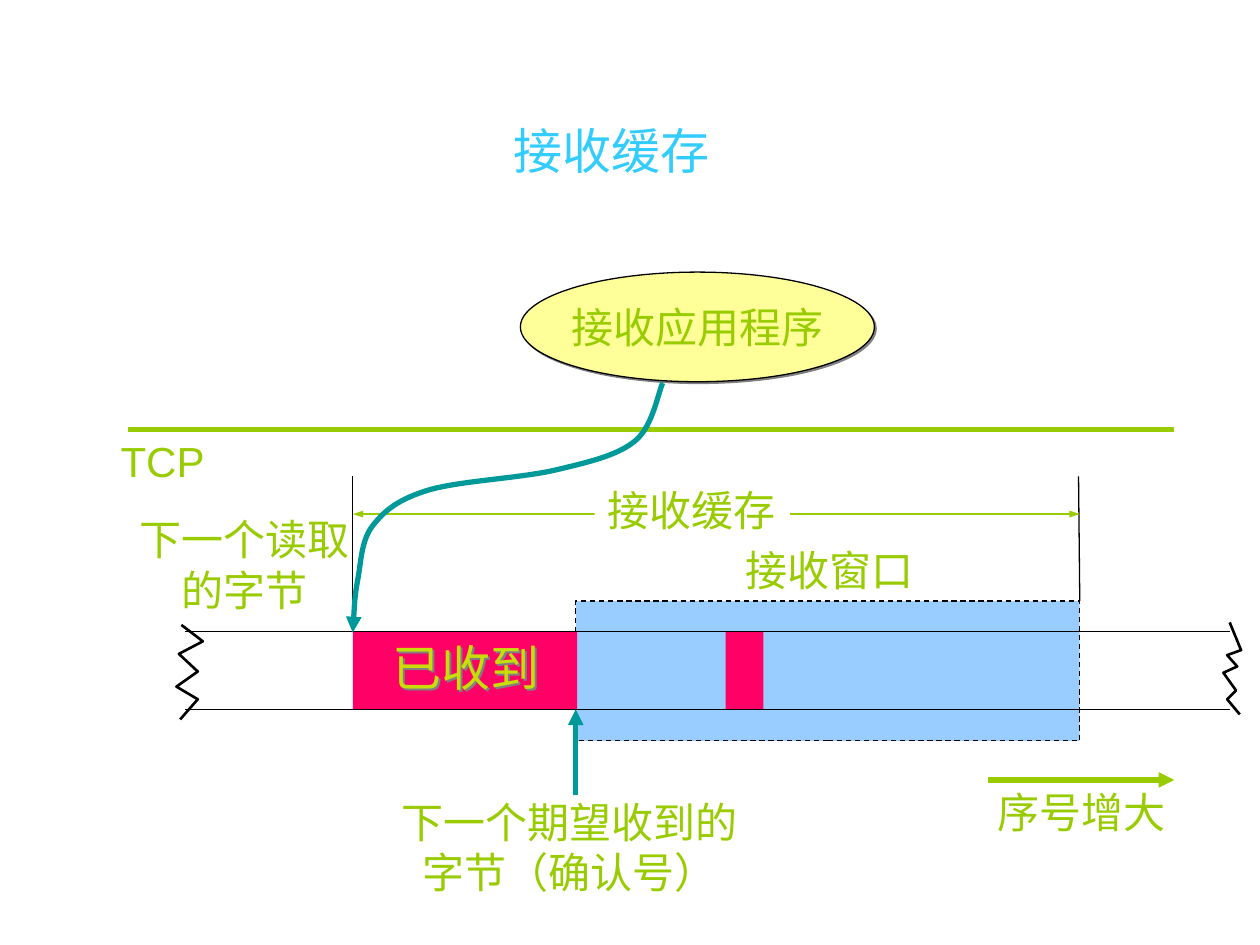
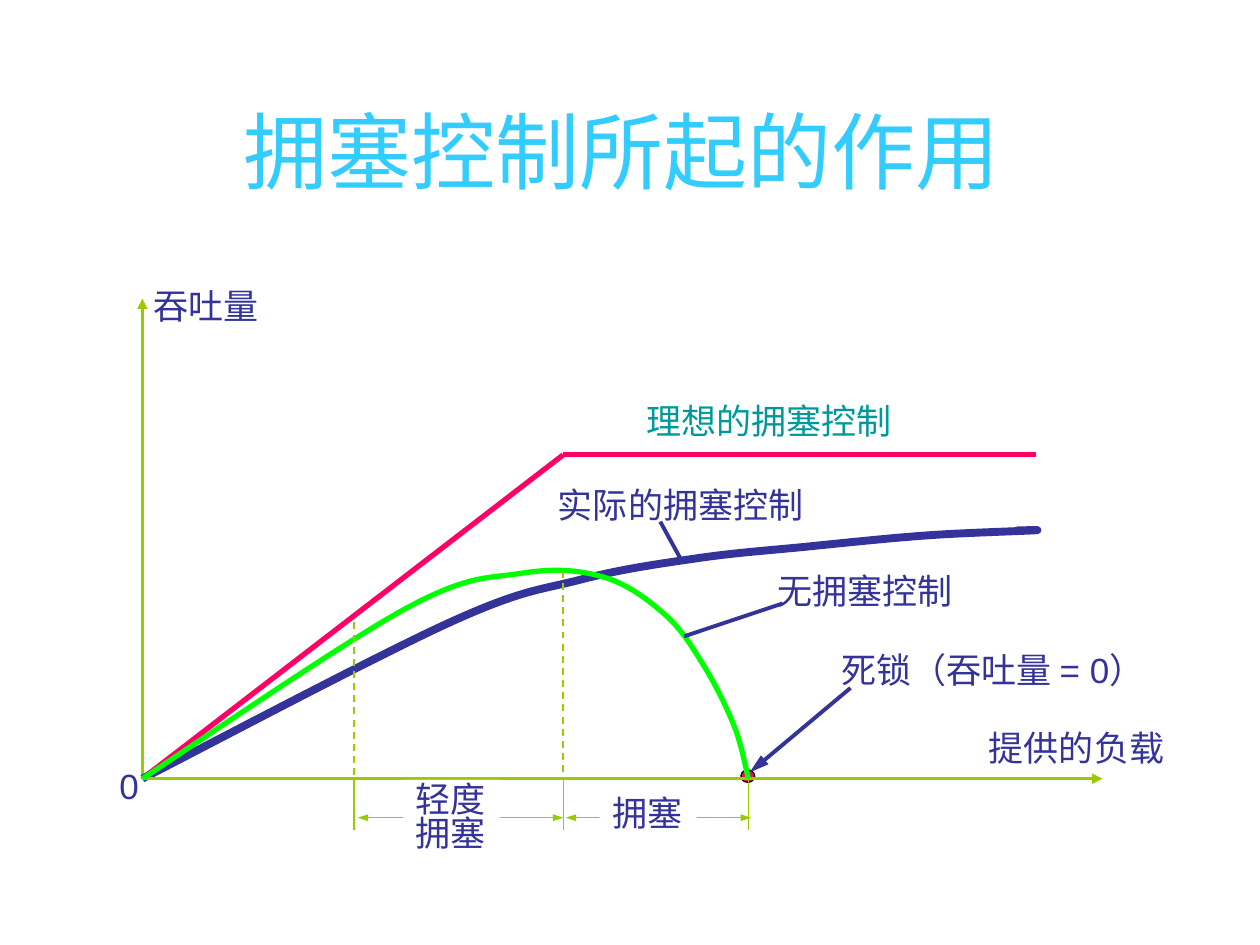
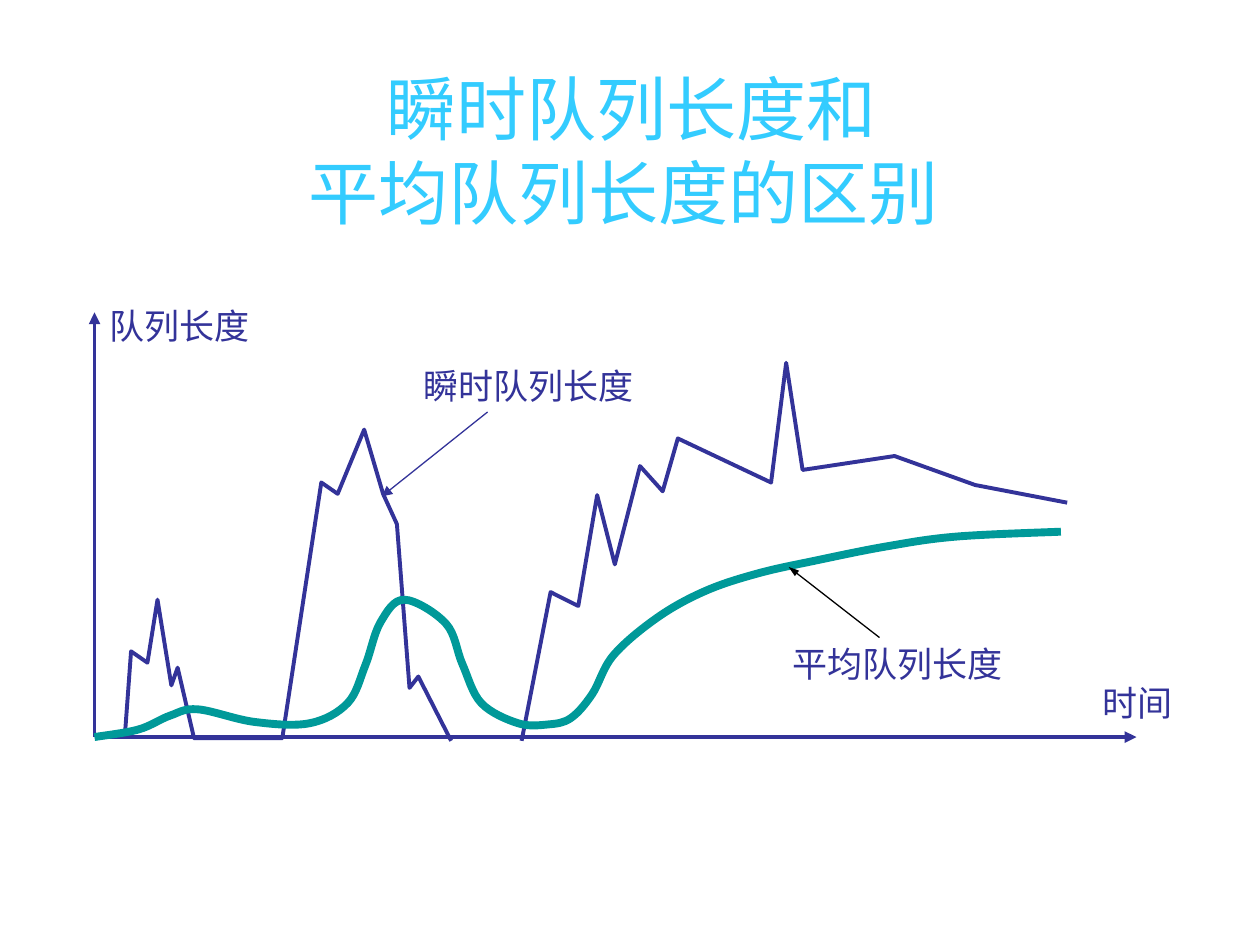
"""Build three slides on TCP receive buffering, congestion control and queue length."""
from lxml import etree
from pptx import Presentation
from pptx.dml.color import RGBColor
from pptx.enum.dml import MSO_LINE
from pptx.enum.shapes import MSO_CONNECTOR, MSO_SHAPE
from pptx.enum.text import MSO_ANCHOR, MSO_AUTO_SIZE, PP_ALIGN
from pptx.oxml.ns import qn
from pptx.util import Inches, Pt

DASH, STRAIGHT = MSO_LINE.DASH, MSO_CONNECTOR.STRAIGHT
RECT, OVAL = MSO_SHAPE.RECTANGLE, MSO_SHAPE.OVAL
LEFT, CENTER = PP_ALIGN.LEFT, PP_ALIGN.CENTER
MIDDLE, TOP = MSO_ANCHOR.MIDDLE, MSO_ANCHOR.TOP
NO_FIT, GROW = MSO_AUTO_SIZE.NONE, MSO_AUTO_SIZE.SHAPE_TO_FIT_TEXT

SKY, LIME, NAVY, TEAL = "33CCFF", "99CC00", "333399", "009999"
PINK, GREEN, BLACK, WHITE = "FF0066", "00FF00", "000000", "FFFFFF"
ARIAL, TIMES = "Arial", "Times New Roman"
REGULAR_TIP, NARROW_TIP, LONG_TIP = ("med", "med"), ("sm", "med"), ("med", "lg")


def write(frame, text, size, color, align, font=ARIAL, spacing=None):
    """Fill a text frame and format every run in it."""
    frame.text = text
    for paragraph in frame.paragraphs:
        paragraph.alignment = align
        paragraph.line_spacing = spacing
        for run in paragraph.runs:
            run.font.size = Pt(size)
            run.font.name = font
            run.font.color.rgb = RGBColor.from_string(color)


def stroke(slide, knots, color, width, ends="", tip=REGULAR_TIP, dash=None, curved=False):
    """Draw a line, a polyline or a smooth curve through the knots."""
    if len(knots) == 2:
        drawn = slide.shapes.add_connector(
            STRAIGHT, *[Inches(value) for knot in knots for value in knot])
    else:
        points = list(knots)
        if curved:
            points = knots[:1]
            padded = [knots[0], *knots, knots[-1]]
            for before, start, end, after in zip(padded, knots, knots[1:], padded[3:]):
                points += [
                    tuple(s + (e - b) / 6 for b, s, e in zip(before, start, end)),
                    tuple(e - (a - s) / 6 for s, e, a in zip(start, end, after)),
                    end]
        points = [(Inches(x), Inches(y)) for x, y in points]
        builder = slide.shapes.build_freeform(*points[0])
        builder.add_line_segments(points[1:], close=False)
        drawn = builder.convert_to_shape()
        drawn.fill.background()
        if curved:
            outline = drawn._element.xpath(".//a:path")[0]
            segments = list(outline)[1:]
            for first in range(0, len(segments), 3):
                bezier = etree.SubElement(outline, qn("a:cubicBezTo"))
                for segment in segments[first:first + 3]:
                    bezier.append(segment[0])
                    outline.remove(segment)
    drawn.line.color.rgb = RGBColor.from_string(color)
    drawn.line.width = Pt(width)
    if dash:
        drawn.line.dash_style = dash
    for end in ends.split():
        etree.SubElement(drawn.line._get_or_add_ln(), qn(f"a:{end}End"),
                         type="triangle", w=tip[0], len=tip[1])
    etree.SubElement(drawn._element.spPr, qn("a:effectLst"))


deck = Presentation()
deck.slide_width, deck.slide_height = Inches(10), Inches(7.5)

slides = []
for heading, size, width in [
    ("接收缓存", 28, 8.69),
    ("拥塞控制所起的作用 ", 48, 9),
    ("瞬时队列长度和\v平均队列长度的区别 ", 40, 9),
]:
    slide = deck.slides.add_slide(deck.slide_layouts[5])
    title = slide.shapes.title
    title.left, title.top = Inches(0.51), Inches(0.84)
    title.width, title.height = Inches(width), Inches(0.7)
    title.text_frame.auto_size = NO_FIT
    title.text_frame.vertical_anchor = MIDDLE
    write(title.text_frame, heading, size, SKY, CENTER)
    slides.append(slide)
buffering, congestion, queueing = slides

BUFFER_START, NEXT_BYTE, BUFFER_END = 2.8, 4.57, 8.57
STREAM_TOP, STREAM_BOTTOM = 5.01, 5.63
STREAM_HEIGHT = STREAM_BOTTOM - STREAM_TOP
for slide, kind, box, fill, border, dash in [
    (buffering, RECT, (NEXT_BYTE, 4.77, 4, 1.11), "99CCFF", BLACK, DASH),
    (buffering, RECT, (BUFFER_START, STREAM_TOP, 1.78, STREAM_HEIGHT), PINK, None, None),
    (buffering, RECT, (5.76, STREAM_TOP, 0.3, STREAM_HEIGHT), PINK, None, None),
    (congestion, OVAL, (5.88, 6.11, 0.11, 0.1), PINK, BLACK, None),
    (buffering, OVAL, (4.13, 2.16, 2.81, 0.87), "FFFF99", BLACK, None),
]:
    block = slide.shapes.add_shape(kind, *[Inches(value) for value in box])
    block.shadow.inherit = False
    block.fill.solid()
    block.fill.fore_color.rgb = RGBColor.from_string(fill)
    if border:
        block.line.color.rgb = RGBColor.from_string(border)
        block.line.width = Pt(0.75)
        block.line.dash_style = dash
    else:
        block.line.fill.background()
application = block
application.text_frame.word_wrap = False
application.text_frame.vertical_anchor = MIDDLE
write(application.text_frame, "接收应用程序", 24, LIME, CENTER)

for y in (STREAM_TOP, STREAM_BOTTOM):
    stroke(buffering, [(1.47, y), (9.76, y)], BLACK, 0.75)
stroke(buffering, [(1.02, 3.41), (9.32, 3.41)], LIME, 3)
stroke(buffering, [(BUFFER_START, 3.78), (BUFFER_START, STREAM_TOP)], BLACK, 0.75)
stroke(buffering, [(8.56, 3.78), (BUFFER_END, 4.77)], BLACK, 0.75)
stroke(buffering, [(BUFFER_START, 4.08), (BUFFER_END, 4.08)], LIME, 0.75, "head tail",
       NARROW_TIP)
stroke(buffering, [(5.26, 3.04), (5.04, 3.5), (4.41, 3.73), (3.4, 3.89), (2.96, 4.17),
                   (2.84, 4.6), (2.8, 5.02)], TEAL, 3, "tail", curved=True)
stroke(buffering, [(7.84, 6.19), (9.32, 6.19)], LIME, 3, "tail")
stroke(buffering, [(NEXT_BYTE, 6.31), (NEXT_BYTE, STREAM_BOTTOM)], TEAL, 3, "tail")
stroke(buffering, [(9.76, 4.94), (9.85, 5.16), (9.74, 5.2), (9.82, 5.29), (9.71, 5.34),
                   (9.81, 5.48), (9.74, 5.55), (9.84, 5.67)], BLACK, 1.5)
stroke(buffering, [(1.44, 4.96), (1.61, 5.09), (1.42, 5.19), (1.57, 5.33), (1.4, 5.45),
                   (1.57, 5.55), (1.43, 5.71)], BLACK, 1.5)

ORIGIN = (1.13, 6.18)
AXIS_Y = ORIGIN[1]
MILD, SEVERE, DEADLOCK = 2.81, 4.47, 5.94
stroke(congestion, [ORIGIN, (1.13, 2.37)], LIME, 1.5, "tail")
stroke(congestion, [ORIGIN, (SEVERE, 3.61)], PINK, 3)
stroke(congestion, [(SEVERE, 3.61), (8.22, 3.61)], PINK, 3)
stroke(congestion, [ORIGIN, (3.57, 4.94), (4.61, 4.6), (5.54, 4.43), (6.39, 4.34),
                    (7.35, 4.25), (8.2, 4.21), (8.07, 4.21)], NAVY, 4.5, curved=True)
stroke(congestion, [(5.24, 4.14), (5.41, 4.45)], NAVY, 2.25)
stroke(congestion, [ORIGIN, (8.75, AXIS_Y)], LIME, 1.5, "tail")
stroke(congestion, [(6.75, 5.46), (5.95, 6.13)], NAVY, 2.25, "tail", LONG_TIP)
for start, end in ((4.49, 5.96), (2.84, SEVERE)):
    stroke(congestion, [(start, 6.49), (end, 6.49)], LIME, 0.75, "head tail", NARROW_TIP)
stroke(congestion, [ORIGIN, (3.22, 4.83), (4.14, 4.55), (4.79, 4.58), (5.28, 4.88),
                    (5.59, 5.29), (5.83, 5.77), (DEADLOCK, AXIS_Y)], GREEN, 3, curved=True)
stroke(congestion, [(6.21, 4.79), (5.43, 5.05)], NAVY, 2.25)
for x, y in ((MILD, 4.94), (SEVERE, 4.53)):
    stroke(congestion, [(x, y), (x, AXIS_Y)], LIME, 1, dash=DASH)
for x in (MILD, SEVERE, DEADLOCK):
    stroke(congestion, [(x, AXIS_Y), (x, 6.59)], LIME, 0.75)

EMPTY = (0.75, 5.85)
stroke(queueing, [EMPTY, (9.02, 5.85)], NAVY, 2.25, "tail")
stroke(queueing, [EMPTY, (0.75, 2.48)], NAVY, 2.25, "tail")
stroke(queueing, [(0.99, 5.85), (1.04, 5.17), (1.17, 5.26), (1.25, 4.76), (1.36, 5.44),
                  (1.41, 5.3), (1.54, 5.86), (2.24, 5.86), (2.55, 3.83), (2.68, 3.92),
                  (2.89, 3.41), (3.04, 3.92), (3.15, 4.16), (3.25, 5.46), (3.32, 5.37),
                  (3.58, 5.88)], NAVY, 2.25)
stroke(queueing, [(4.14, 5.88), (4.37, 4.7), (4.59, 4.81), (4.74, 3.93), (4.88, 4.48),
                  (5.08, 3.7), (5.26, 3.9), (5.38, 3.48), (6.12, 3.83), (6.24, 2.88),
                  (6.37, 3.73), (7.1, 3.62), (7.74, 3.85), (8.47, 3.99)], NAVY, 2.25)
stroke(queueing, [EMPTY, (1.1, 5.79), (1.35, 5.68), (1.57, 5.63), (2.02, 5.73),
                  (2.46, 5.74), (2.76, 5.58), (2.9, 5.28), (3.02, 4.94), (3.21, 4.76),
                  (3.54, 4.95), (3.67, 5.27), (3.82, 5.58), (4.11, 5.74), (4.35, 5.75),
                  (4.53, 5.7), (4.7, 5.51), (4.87, 5.2), (5.22, 4.9), (5.6, 4.69),
                  (6.02, 4.55), (6.47, 4.45), (7.02, 4.34), (7.58, 4.26), (8.42, 4.22)],
       TEAL, 4.5, curved=True)
stroke(queueing, [(3.87, 3.27), (3.03, 3.94)], NAVY, 0.75, "tail")
stroke(queueing, [(6.98, 5.06), (6.26, 4.5)], BLACK, 0.75, "tail", NARROW_TIP)

SLACK = 0.02
for slide, text, box, size, color, align, font, fill, spacing in [
    (buffering, "接收窗口", (5.83, 4.27, 1.53, 0.5), 24, LIME, LEFT, ARIAL, None, None),
    (buffering, "TCP", (0.86, 3.41, 0.86, 0.5), 24, LIME, CENTER, ARIAL, None, None),
    (buffering, "接收缓存", (4.73, 3.8, 1.53, 0.5), 24, LIME, LEFT, ARIAL, WHITE, None),
    (buffering, "下一个读取\n的字节", (1.01, 4.03, 1.86, 0.9), 24, LIME, CENTER, ARIAL, None, None),
    (buffering, "序号增大", (7.82, 6.19, 1.53, 0.5), 24, LIME, CENTER, ARIAL, None, None),
    (buffering, "下一个期望收到的\n字节（确认号）", (3.09, 6.27, 2.86, 0.9), 24, LIME, CENTER, ARIAL,
     None, None),
    (congestion, "提供的负载", (7.76, 5.72, 1.59, 0.44), 20, NAVY, LEFT, ARIAL, None, None),
    (congestion, "吞吐量", (1.13, 2.21, 1.03, 0.44), 20, NAVY, LEFT, ARIAL, None, None),
    (congestion, "理想的拥塞控制", (5.04, 3.12, 2.15, 0.44), 20, TEAL, LEFT, ARIAL, None, None),
    (congestion, "实际的拥塞控制", (4.34, 3.79, 2.15, 0.44), 20, NAVY, LEFT, ARIAL, None, None),
    (congestion, "0", (0.86, 6.02, 0.35, 0.44), 20, NAVY, LEFT, ARIAL, None, None),
    (congestion, "死锁（吞吐量 = 0）", (6.59, 5.1, 2.74, 0.44), 20, NAVY, LEFT, ARIAL, None, None),
    (congestion, "无拥塞控制", (6.08, 4.47, 1.59, 0.44), 20, NAVY, LEFT, ARIAL, None, None),
    (congestion, "拥塞", (4.77, 6.23, 0.75, 0.44), 20, NAVY, LEFT, ARIAL, WHITE, None),
    (congestion, "轻度\n拥塞", (3.21, 6.19, 0.75, 0.64), 20, NAVY, LEFT, ARIAL, WHITE, 0.8),
    (queueing, "队列长度", (0.78, 2.37, 1.31, 0.44), 20, NAVY, LEFT, TIMES, None, None),
    (queueing, "时间", (8.66, 5.36, 0.75, 0.44), 20, NAVY, LEFT, TIMES, None, None),
    (queueing, "瞬时队列长度", (3.27, 2.84, 1.87, 0.44), 20, NAVY, LEFT, TIMES, None, None),
    (queueing, "平均队列长度", (6.2, 5.05, 1.87, 0.44), 20, NAVY, LEFT, TIMES, None, None),
    (buffering, "已收到", (3.03, 5.01, 1.36, 0.57), 28, "C9DE06", LEFT, ARIAL, None, None),
]:
    left, top, width, height = box
    label = slide.shapes.add_textbox(Inches(left - SLACK / 2), Inches(top),
                                     Inches(width + SLACK), Inches(height))
    label.text_frame.word_wrap = False
    label.text_frame.auto_size = GROW
    label.text_frame.vertical_anchor = TOP
    if fill:
        label.fill.solid()
        label.fill.fore_color.rgb = RGBColor.from_string(fill)
    write(label.text_frame, text, size, color, align, font, spacing)
received = label

for shaded in (application, received):
    for inherited in shaded._element.spPr.findall(qn("a:effectLst")):
        shaded._element.spPr.remove(inherited)
    effects = etree.SubElement(shaded._element.spPr, qn("a:effectLst"))
    shadow = etree.SubElement(effects, qn("a:outerShdw"), dist="17960", dir="2700000")
    etree.SubElement(shadow, qn("a:srgbClr"), val="808080")

deck.save("out.pptx")
